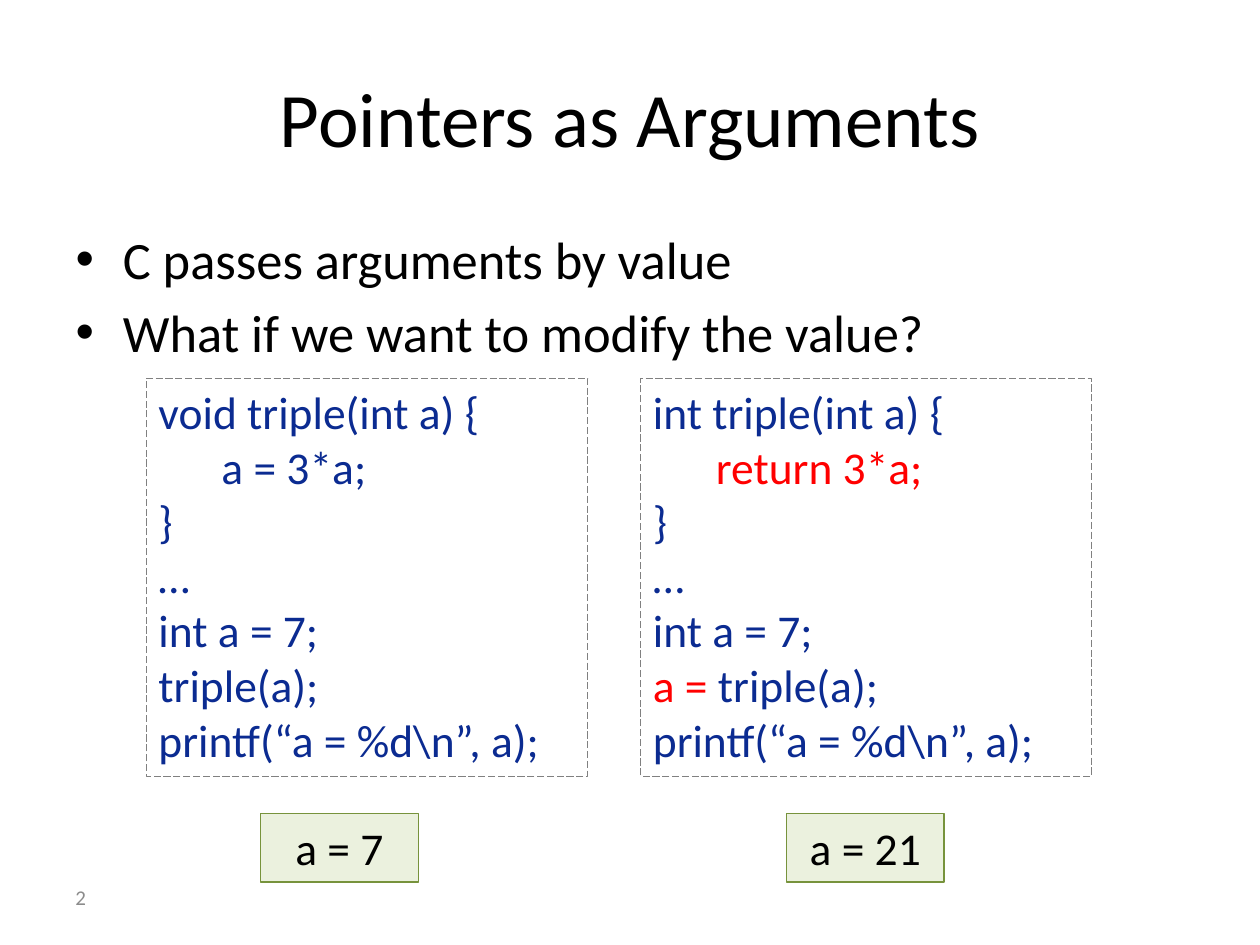
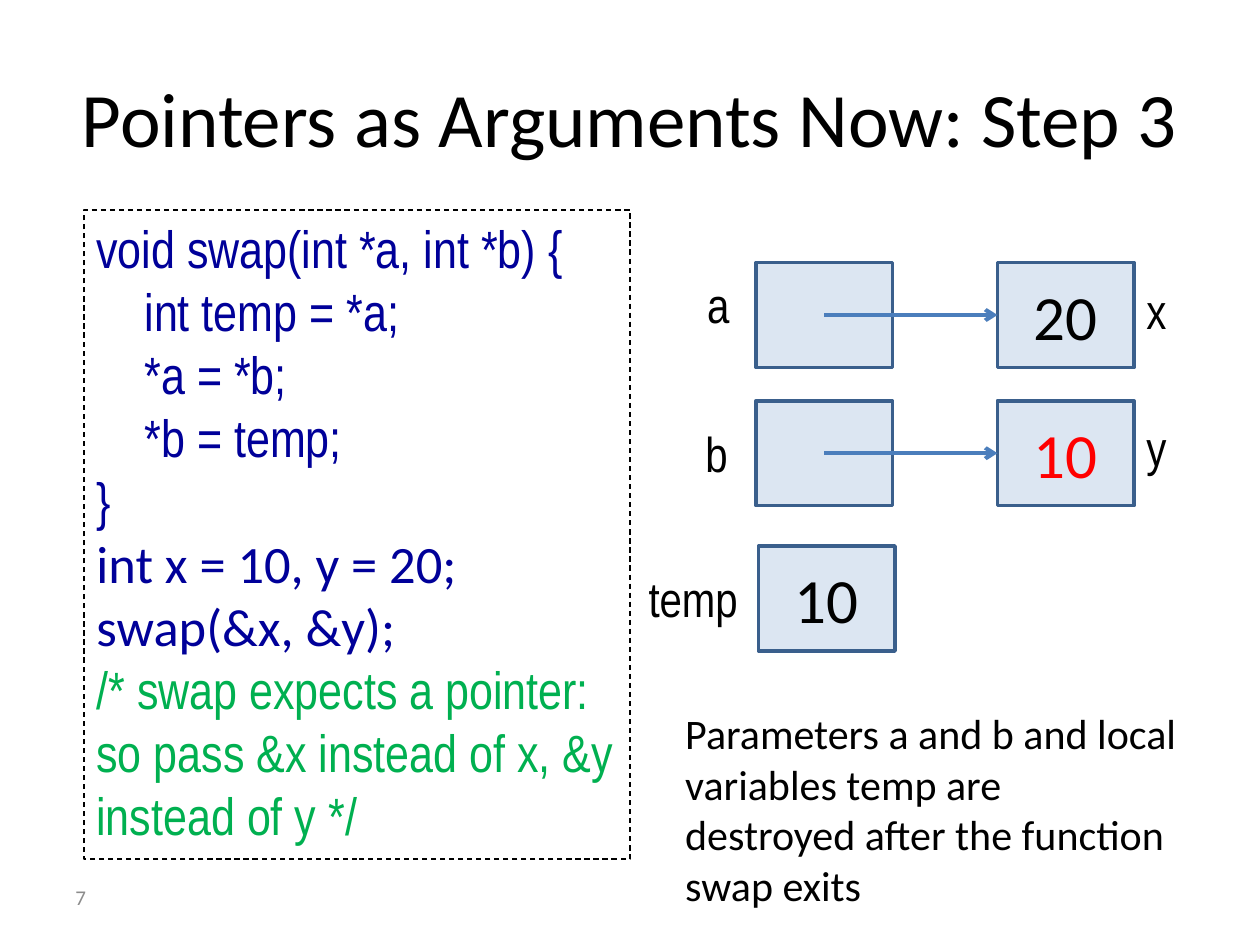
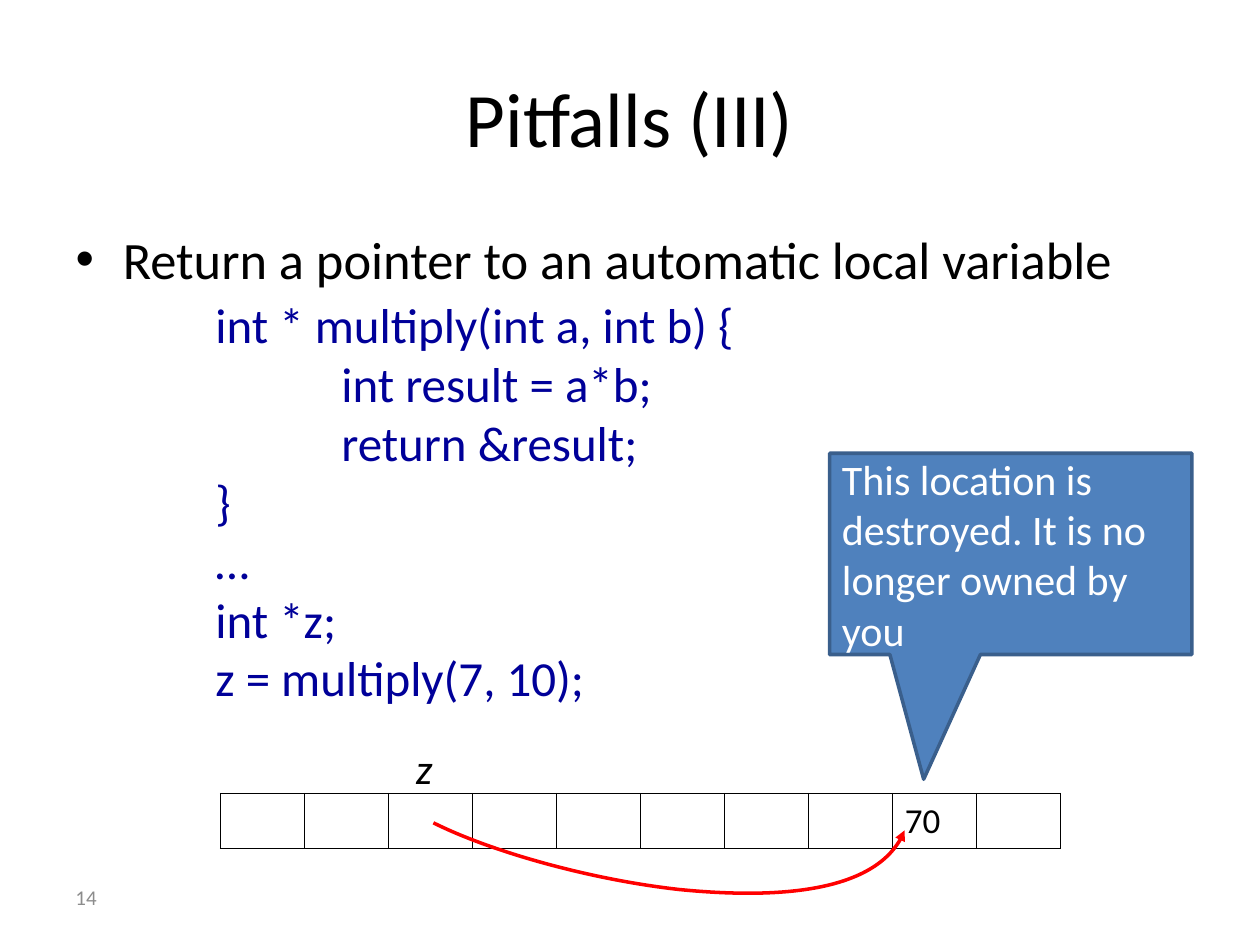
from collections import namedtuple

from lxml.etree import SubElement
from pptx import Presentation
from pptx.dml.color import RGBColor
from pptx.enum.dml import MSO_LINE as Dash
from pptx.enum.shapes import MSO_CONNECTOR as Connector, MSO_SHAPE as Preset
from pptx.enum.text import MSO_ANCHOR as Anchor, PP_ALIGN as Align
from pptx.oxml.ns import qn
from pptx.util import Pt

BLACK = RGBColor(0x00, 0x00, 0x00)
WHITE = RGBColor(0xFF, 0xFF, 0xFF)
GRAY = RGBColor(0x80, 0x80, 0x80)
NUMBER_GRAY = RGBColor(0x8C, 0x8C, 0x8C)
RED = RGBColor(0xFF, 0x00, 0x00)
GREEN = RGBColor(0x00, 0xB0, 0x50)
CODE_BLUE = RGBColor(0x0B, 0x2B, 0x91)
NAVY = RGBColor(0x00, 0x00, 0x99)
RESULT_FILL = RGBColor(0xEB, 0xF1, 0xDE)
RESULT_EDGE = RGBColor(0x77, 0x93, 0x3C)
MEMORY_FILL = RGBColor(0xDC, 0xE6, 0xF2)
MEMORY_EDGE = RGBColor(0x3A, 0x5F, 0x8C)
POINTER_BLUE = RGBColor(0x4B, 0x7E, 0xBC)
CALLOUT_FILL = RGBColor(0x4F, 0x81, 0xBD)

SANS = "Calibri"
NARROW = "Arial Narrow"

Box = namedtuple("Box", "left top width height")
TITLE = Box(36, 21.6, 648, 90)
BODY = Box(36, 126, 648, 356.4)
NUMBER = Box(36, 498.25, 168, 28.75)
CELL = (78, 60)


def points(box):
    return [Pt(length) for length in box]


def write(frame, lines, size=24, font=SANS, color=BLACK, align=Align.LEFT,
          anchor=Anchor.TOP, italic=None, indent=36):
    frame.word_wrap = True
    frame.vertical_anchor = anchor
    for number, line in enumerate(lines):
        paragraph = frame.add_paragraph() if number else frame.paragraphs[0]
        paragraph.alignment = align
        runs = [(line, {})] if isinstance(line, str) else line
        if runs[0][0].startswith("\t"):
            paragraph._p.get_or_add_pPr().set("marL", str(Pt(indent)))
        for text, changes in runs:
            run = paragraph.add_run()
            run.text = text.lstrip("\t")
            run.font.size = Pt(size)
            run.font.name = changes.get("font", font)
            run.font.color.rgb = changes.get("color", color)
            run.font.italic = italic


def label(slide, box, lines, **style):
    write(slide.shapes.add_textbox(*points(box)).text_frame, lines, **style)


def panel(slide, box, lines=(), fill=None, edge=BLACK, weight=1, dash=None,
          preset=Preset.RECTANGLE, **style):
    shape = slide.shapes.add_shape(preset, *points(box))
    shape.shadow.inherit = False
    if fill is None:
        shape.fill.background()
    else:
        shape.fill.solid()
        shape.fill.fore_color.rgb = fill
    shape.line.color.rgb = edge
    shape.line.width = Pt(weight)
    if dash is not None:
        shape.line.dash_style = dash
    write(shape.text_frame, lines, **style)
    return shape


def finish_line(shape, color, weight, head):
    shape.line.color.rgb = color
    shape.line.width = Pt(weight)
    SubElement(shape.line._get_or_add_ln(), qn("a:tailEnd"), type=head)


def place(holder, box):
    holder.left, holder.top, holder.width, holder.height = points(box)


def start_slide(deck, title, number, bullets=()):
    slide = deck.slides.add_slide(deck.slide_layouts[1 if bullets else 5])
    place(slide.shapes.title, TITLE)
    write(slide.shapes.title.text_frame, [title], size=44,
          align=Align.CENTER, anchor=Anchor.MIDDLE)
    if bullets:
        body = slide.placeholders[1]
        place(body, BODY)
        write(body.text_frame, bullets, size=30)
    label(slide, NUMBER, [number], size=12, color=NUMBER_GRAY, anchor=Anchor.MIDDLE)
    return slide


def program(slide, box, code, output, output_left):
    panel(slide, box, code, edge=GRAY, weight=0.5, dash=Dash.LONG_DASH,
          size=26, color=CODE_BLUE)
    panel(slide, Box(box.left + output_left, box.top + 249, 90, 39), [output],
          fill=RESULT_FILL, edge=RESULT_EDGE, weight=0.75, size=26,
          align=Align.CENTER)


def memory_cell(slide, left, top, name, name_box, value=None, color=BLACK):
    panel(slide, Box(left, top, *CELL), [value] if value else [],
          fill=MEMORY_FILL, edge=MEMORY_EDGE, weight=2, size=36, color=color,
          align=Align.CENTER, anchor=Anchor.MIDDLE)
    dx, dy, width = name_box
    label(slide, Box(left + dx, top + dy, width, 41), [name], size=28, font=NARROW)


def pointer(slide, left, top, target_left):
    middle = Pt(top + CELL[1] / 2)
    arrow = slide.shapes.add_connector(
        Connector.STRAIGHT, Pt(left + CELL[0] / 2), middle, Pt(target_left), middle)
    SubElement(arrow._element.spPr, qn("a:effectLst"))
    ln = arrow.line._get_or_add_ln()
    arrow._element.spPr.insert(list(arrow._element.spPr).index(ln), ln)
    finish_line(arrow, POINTER_BLUE, 2.25, "arrow")


def memory_diagram(slide, left, top):
    target_left = left + 138
    second, third = top + 79, top + 162
    memory_cell(slide, left, top, "a", (-35, 3.5, 36))
    memory_cell(slide, left, second, "b", (-36, 9.5, 36))
    memory_cell(slide, left + 1.5, third, "temp", (-70, 9.5, 84), "10")
    memory_cell(slide, target_left, top, "x", (CELL[0], 7, 36), "20")
    memory_cell(slide, target_left, second, "y", (CELL[0], 6, 36), "10", RED)
    for row in (top, second):
        pointer(slide, left, row, target_left)


def border(cell):
    properties = cell._tc.get_or_add_tcPr()
    for position, side in enumerate(("lnL", "lnR", "lnT", "lnB")):
        ln = SubElement(properties, qn("a:" + side), w=str(Pt(1)))
        SubElement(SubElement(ln, qn("a:solidFill")), qn("a:srgbClr"), val=str(BLACK))
        properties.insert(position, ln)


def memory_strip(slide, box, count, used, value):
    table = slide.shapes.add_table(1, count, *points(box)).table
    table.first_row = table.horz_banding = False
    table.rows[0].height = Pt(box.height)
    for index in range(count):
        table.columns[index].width = Pt(box.width / count)
        cell = table.cell(0, index)
        cell.fill.background()
        border(cell)
        if index == used:
            write(cell.text_frame, [value], size=20)


def curved_arrow(slide, start, curves):
    ends = [curve[-1] for curve in curves]
    builder = slide.shapes.build_freeform(Pt(start[0]), Pt(start[1]))
    builder.add_line_segments([(Pt(x), Pt(y)) for x, y in ends], close=False)
    arrow = builder.convert_to_shape()
    arrow.shadow.inherit = False
    arrow.fill.background()
    for segment, curve in zip(list(arrow._element.iter(qn("a:lnTo"))), curves):
        bezier = segment.makeelement(qn("a:cubicBezTo"))
        for x, y in curve:
            SubElement(bezier, qn("a:pt"), x=str(Pt(x) - arrow.left),
                       y=str(Pt(y) - arrow.top))
        segment.getparent().replace(segment, bezier)
    finish_line(arrow, RED, 2, "triangle")


def arguments_slide(deck):
    slide = start_slide(deck, "Pointers as Arguments", "2",
                        ["C passes arguments by value",
                         "What if we want to modify the value?"])
    red = {"color": RED}
    rest = ["}", "…", "int a = 7;"]
    printing = "printf(“a = %d\\n”, a);"
    program(slide, Box(83.5, 216, 252.5, 227.5),
            ["void triple(int a) {", "\ta = 3*a;", *rest, "triple(a);", printing],
            "a = 7", 65.5)
    program(slide, Box(366, 216, 257.5, 227.5),
            ["int triple(int a) {", [("\treturn 3*a;", red)], *rest,
             [("a =", red), (" triple(a);", {})], printing],
            "a = 21", 83.5)


def swap_slide(deck):
    slide = start_slide(deck, "Pointers as Arguments Now: Step 3", "7")
    sans = {"font": SANS}
    panel(slide, Box(48, 120, 312, 371),
          ["void swap(int *a, int *b) {", "\tint temp = *a;", "\t*a = *b;",
           "\t*b = temp;", "}", [("int x = 10, y = 20;", sans)],
           [("swap(&x, &y);", sans)],
           [("/* swap expects a pointer: so pass &x instead of x, "
             "&y instead of y */", {"color": GREEN})]],
          weight=0.75, dash=Dash.DASH, size=30, font=NARROW, color=NAVY, indent=27.5)
    memory_diagram(slide, 432, 150)
    label(slide, Box(384.5, 401, 296.5, 124),
          ["Parameters a and b and local variables temp are destroyed "
           "after the function swap exits"])


def pitfalls_slide(deck):
    slide = start_slide(deck, "Pitfalls (III)", "14",
                        ["Return a pointer to an automatic local variable"])
    label(slide, Box(116, 165, 450, 245),
          ["int * multiply(int a, int b) {", "\tint result = a*b;",
           "\treturn &result;", "}", "…", "int *z;", "z = multiply(7, 10);"],
          size=28, color=NAVY, indent=72)
    memory_strip(slide, Box(126, 453.5, 480, 31), 10, 8, "70")
    label(slide, Box(230.5, 420.5, 90, 36), ["z"], italic=True)
    curved_arrow(slide, (247.7, 470.2),
                 [[(280.8, 486.7), (337, 502.6), (388.1, 508.3)],
                  [(439.2, 513.4), (502.6, 511.2), (517, 474.5)]])
    callout = panel(slide, Box(474, 259, 207, 115),
                    ["This location is destroyed. It is no longer owned by you"],
                    fill=CALLOUT_FILL, edge=MEMORY_EDGE, weight=2,
                    preset=Preset.RECTANGULAR_CALLOUT, color=WHITE,
                    anchor=Anchor.MIDDLE)
    callout.adjustments[0] = -0.24
    callout.adjustments[1] = 1.12


deck = Presentation()
deck.slide_width, deck.slide_height = Pt(720), Pt(540)
arguments_slide(deck)
swap_slide(deck)
pitfalls_slide(deck)
deck.save("out.pptx")
